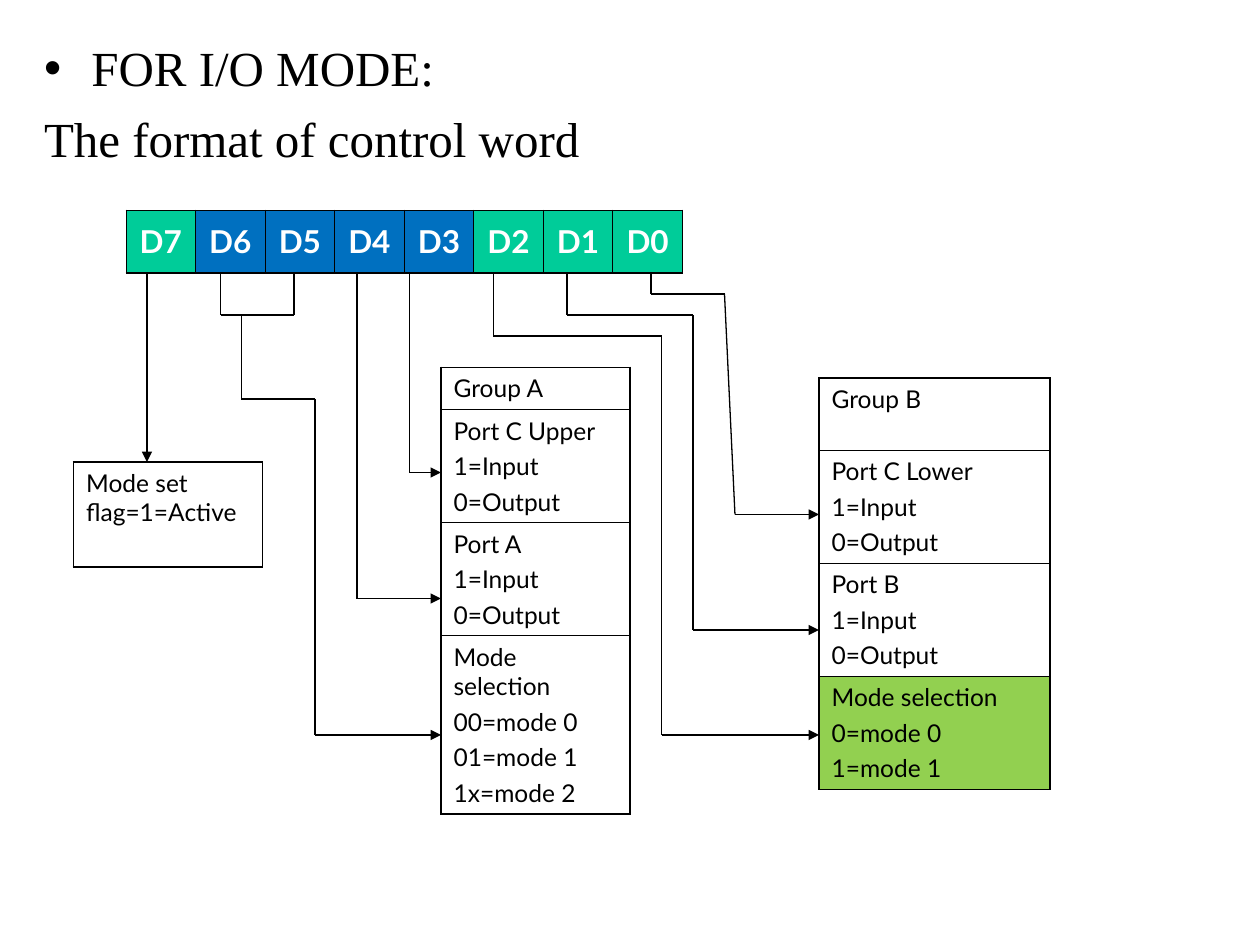
"""Build the slide on the control word format for I/O mode."""
from dataclasses import dataclass
from itertools import pairwise

from lxml.etree import SubElement
from pptx import Presentation
from pptx.dml.color import RGBColor
from pptx.enum.shapes import MSO_CONNECTOR as Connector
from pptx.enum.text import MSO_ANCHOR as Anchor, MSO_AUTO_SIZE as AutoSize, PP_ALIGN as Align
from pptx.oxml.ns import qn
from pptx.util import Pt

BLACK = RGBColor(0x00, 0x00, 0x00)
WHITE = RGBColor(0xFF, 0xFF, 0xFF)
TEAL = RGBColor(0x00, 0xCC, 0x99)
BLUE = RGBColor(0x00, 0x70, 0xC0)
GREEN = RGBColor(0x92, 0xD0, 0x50)
THIN, THICK, HEAVY = 0.45, 1.08, 1.47
LINE_WIDTH = 0.75
WORD_BOTTOM = 156
DIRECTION = ("1=Input", "0=Output")


@dataclass(frozen=True)
class Field:
    lines: tuple
    height: float
    fill: RGBColor | None = None


@dataclass(frozen=True)
class FieldTable:
    left: float
    top: float
    width: float
    fields: tuple


@dataclass(frozen=True)
class Route:
    points: tuple
    arrow: bool = True


BITS = (("D7", TEAL), ("D6", BLUE), ("D5", BLUE), ("D4", BLUE),
        ("D3", BLUE), ("D2", TEAL), ("D1", TEAL), ("D0", TEAL))

FIELD_TABLES = (
    FieldTable(252, 210, 108, (
        Field(("Group A",), 24),
        Field(("Port C Upper", *DIRECTION), 64.6),
        Field(("Port A", *DIRECTION), 64.6),
        Field(("Mode selection", "00=mode 0", "01=mode 1", "1x=mode 2"), 101.7),
    )),
    FieldTable(468, 216, 132, (
        Field(("Group B",), 41.2),
        Field(("Port C Lower", *DIRECTION), 64.6),
        Field(("Port B", *DIRECTION), 64.6),
        Field(("Mode selection", "0=mode 0", "1=mode 1"), 64.6, GREEN),
    )),
    FieldTable(42, 264, 108, (Field(("Mode set flag=1=Active",), 60),)),
)

ROUTES = (
    Route(((84, WORD_BOTTOM), (84, 264))),
    Route(((126, WORD_BOTTOM), (126, 180), (168, 180), (168, WORD_BOTTOM)), arrow=False),
    Route(((138, 180), (138, 228), (180, 228), (180, 420), (252, 420))),
    Route(((204, WORD_BOTTOM), (204, 342), (252, 342))),
    Route(((234, WORD_BOTTOM), (234, 270), (252, 270))),
    Route(((282, WORD_BOTTOM), (282, 192), (378, 192), (378, 420), (468, 420))),
    Route(((324, WORD_BOTTOM), (324, 180), (396, 180), (396, 360), (468, 360))),
    Route(((372, WORD_BOTTOM), (372, 168), (414, 168), (420, 294), (468, 294))),
)


def style_font(font, name: str, size: float, color: RGBColor, bold: bool = False) -> None:
    """Set typeface, size, colour and weight."""
    font.name, font.size, font.bold = name, Pt(size), bold
    font.color.rgb = color


def fill_body(body) -> None:
    """Place the body placeholder and write the heading lines."""
    body.left, body.top, body.width, body.height = Pt(18), Pt(18), Pt(690), Pt(498)
    frame = body.text_frame
    frame.auto_size = AutoSize.NONE
    frame.text = "FOR I/O MODE:\nThe format of control word"
    for index, paragraph in enumerate(frame.paragraphs):
        properties = paragraph._p.get_or_add_pPr()
        properties.set("marL", str(Pt(27)))
        properties.set("indent", str(-Pt(27)))
        if index:
            SubElement(properties, qn("a:buNone"))
        paragraph.space_before = Pt(7 if index else 0)
        style_font(paragraph.font, "Times New Roman", 28, BLACK)


def add_grid(page, rows: int, columns: int, left: float, top: float, width: float, height: float):
    """Add a table without banding or header style."""
    table = page.shapes.add_table(rows, columns, Pt(left), Pt(top), Pt(width), Pt(height)).table
    table.first_row = table.horz_banding = False
    return table


def format_cell(cell, fill: RGBColor | None, left: float, right: float,
                top: float, bottom: float) -> None:
    """Set the borders of a cell, then its fill."""
    properties = cell._tc.get_or_add_tcPr()
    for side, width in zip("LRTB", (left, right, top, bottom)):
        border = SubElement(properties, qn(f"a:ln{side}"), w=str(Pt(width)))
        solid = SubElement(border, qn("a:solidFill"))
        SubElement(solid, qn("a:srgbClr"), val=str(BLACK))
    if fill is None:
        cell.fill.background()
    else:
        cell.fill.solid()
        cell.fill.fore_color.rgb = fill


def add_control_word(page) -> None:
    """Draw the row of eight bits."""
    table = add_grid(page, 1, len(BITS), 72, 120, 318, WORD_BOTTOM - 120)
    for cell, (name, color) in zip(table.iter_cells(), BITS):
        format_cell(cell, color, THIN, THIN, THIN, HEAVY)
        cell.vertical_anchor = Anchor.MIDDLE
        cell.text = name
        paragraph = cell.text_frame.paragraphs[0]
        paragraph.alignment = Align.CENTER
        style_font(paragraph.font, "Lato", 18, WHITE, bold=True)


def add_field_table(page, group: FieldTable) -> None:
    """Draw a one-column table of control word fields."""
    fields = group.fields
    height = sum(field.height for field in fields)
    table = add_grid(page, len(fields), 1, group.left, group.top, group.width, height)
    for index, field in enumerate(fields):
        table.rows[index].height = Pt(field.height)
        cell = table.cell(index, 0)
        top = THIN if index else THICK
        bottom = THICK if index == len(fields) - 1 else THIN
        format_cell(cell, field.fill, THICK, THICK, top, bottom)
        cell.text = "\n".join(field.lines)
        for line, paragraph in enumerate(cell.text_frame.paragraphs):
            paragraph.space_before = Pt(3.5 if line else 0)
            style_font(paragraph.font, "Lato", 14, BLACK)


def add_route(page, route: Route) -> None:
    """Draw a chain of straight lines, with an arrowhead on the last if wanted."""
    for start, end in pairwise(route.points):
        line = page.shapes.add_connector(Connector.STRAIGHT, *map(Pt, start + end))
        line.line.color.rgb = BLACK
        line.line.width = Pt(LINE_WIDTH)
        SubElement(line._element.spPr, qn("a:effectLst"))
    if route.arrow:
        SubElement(line.line._get_or_add_ln(), qn("a:tailEnd"), type="triangle")


def main() -> None:
    """Assemble and save the deck."""
    deck = Presentation()
    deck.slide_width, deck.slide_height = Pt(720), Pt(540)
    page = deck.slides.add_slide(deck.slide_layouts[1])
    title = page.shapes.title._element
    title.getparent().remove(title)
    fill_body(page.placeholders[1])
    add_control_word(page)
    for group in FIELD_TABLES:
        add_field_table(page, group)
    for route in ROUTES:
        add_route(page, route)
    deck.save("out.pptx")


if __name__ == "__main__":
    main()
